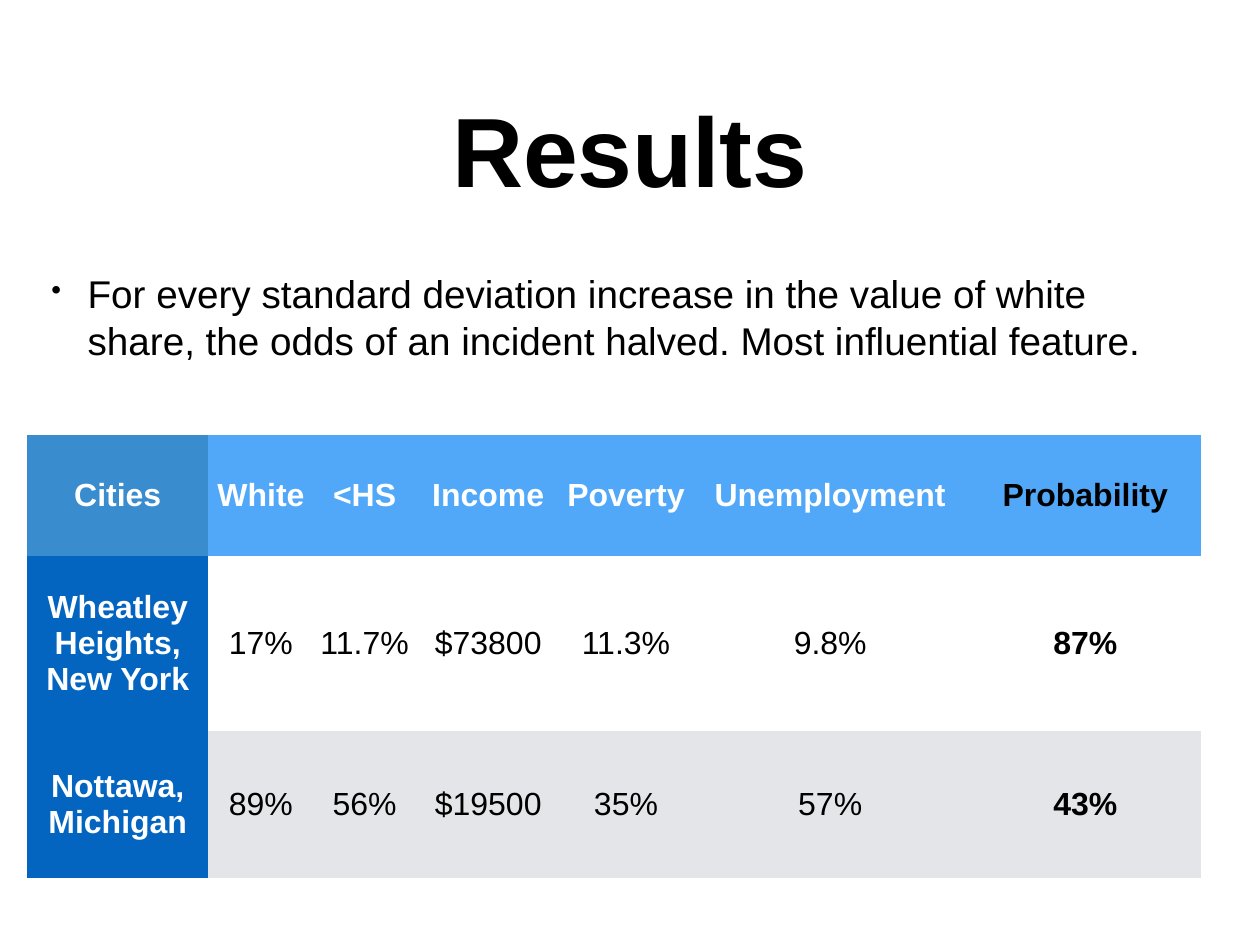
from lxml.etree import SubElement
from pptx import Presentation
from pptx.dml.color import RGBColor
from pptx.enum.text import MSO_ANCHOR, PP_ALIGN
from pptx.oxml.ns import qn
from pptx.util import Inches, Pt

BLACK = RGBColor(0x00, 0x00, 0x00)
WHITE = RGBColor(0xFF, 0xFF, 0xFF)
CORNER_BLUE = RGBColor(0x39, 0x8C, 0xCE)
HEADER_BLUE = RGBColor(0x51, 0xA8, 0xF9)
CITY_BLUE = RGBColor(0x03, 0x65, 0xC0)
BAND_GREY = RGBColor(0xE3, 0xE5, 0xE8)

GRID = 100
PLAIN_TABLE_STYLE = "{2D5ABB26-0587-4C30-8999-92F81FD0307C}"


class ResultsSlide:
    font = "Arial"
    inset = 0.42

    def __init__(self, presentation):
        self.column = presentation.slide_width / GRID
        self.row = presentation.slide_height / GRID
        self.slide = presentation.slides.add_slide(presentation.slide_layouts[6])

    def across(self, columns):
        return round(columns * self.column)

    def down(self, rows):
        return round(rows * self.row)

    def place(self, left, top, width, height):
        return self.across(left), self.down(top), self.across(width), self.down(height)

    def set_insets(self, holder):
        for side in ("left", "right", "top", "bottom"):
            setattr(holder, f"margin_{side}", self.across(self.inset))
        holder.vertical_anchor = MSO_ANCHOR.MIDDLE

    def set_words(self, paragraph, words, size, color=BLACK, bold=False, align=PP_ALIGN.CENTER):
        paragraph.text = words
        paragraph.alignment = align
        for run in paragraph.runs:
            run.font.name = self.font
            run.font.size = Pt(size)
            run.font.bold = bold
            run.font.color.rgb = color

    def text(self, area, words, size, **style):
        frame = self.slide.shapes.add_textbox(*self.place(*area)).text_frame
        frame.word_wrap = True
        self.set_insets(frame)
        self.set_words(frame.paragraphs[0], words, size, **style)
        return frame.paragraphs[0]

    def bullet(self, area, words, size, indent, space_before):
        paragraph = self.text(area, words, size, align=PP_ALIGN.LEFT)
        paragraph.space_before = Pt(space_before)
        properties = paragraph._p.get_or_add_pPr()
        properties.set("marL", str(self.across(indent)))
        properties.set("indent", str(-self.across(indent)))
        SubElement(properties, qn("a:buSzPct"), val="75000")
        SubElement(properties, qn("a:buChar"), char="•")

    def table(self, left, top, widths, heights, records, size):
        area = self.place(left, top, sum(widths), sum(heights))
        table = self.slide.shapes.add_table(len(heights), len(widths), *area).table
        table.first_row = table.horz_banding = False
        table._tbl.tblPr.find(qn("a:tableStyleId")).text = PLAIN_TABLE_STYLE
        for column, width in zip(table.columns, widths):
            column.width = self.across(width)
        for row, height in zip(table.rows, heights):
            row.height = self.down(height)
        last = len(widths) - 1
        for r, record in enumerate(records):
            for c, value in enumerate(record):
                cell = table.cell(r, c)
                self.set_insets(cell)
                cell.fill.solid()
                cell.fill.fore_color.rgb = self.cell_fill(r, c)
                heading = c == 0 or (r == 0 and c < last)
                self.set_words(cell.text_frame.paragraphs[0], value, size,
                               color=WHITE if heading else BLACK,
                               bold=r == 0 or c in (0, last))

    def cell_fill(self, r, c):
        if r == 0:
            return HEADER_BLUE if c else CORNER_BLUE
        if c == 0:
            return CITY_BLUE
        return WHITE if r % 2 else BAND_GREY


CITY_RECORDS = [
    ["Cities", "White", "<HS", "Income", "Poverty", "Unemployment", "Probability"],
    ["Wheatley Heights, New York", "17%", "11.7%", "$73800", "11.3%", "9.8%", "87%"],
    ["Nottawa, Michigan", "89%", "56%", "$19500", "35%", "57%", "43%"],
]

presentation = Presentation()
presentation.slide_width = Inches(14.22)
presentation.slide_height = Inches(10.67)

results = ResultsSlide(presentation)
results.text((7.31, 4.59, 85.37, 22.12), "Results", 80, bold=True)
results.bullet(
    (3.66, 26.71, 88.68, 13.59),
    "For every standard deviation increase in the value of white share, "
    "the odds of an incident halved. Most influential feature.",
    31.4, indent=2.88, space_before=35)
results.table(
    2.18, 46.02,
    widths=[14.35, 8.37, 8.09, 11.53, 10.34, 22.08, 18.42],
    heights=[12.84, 18.46, 15.65],
    records=CITY_RECORDS, size=26)

presentation.save("out.pptx")
